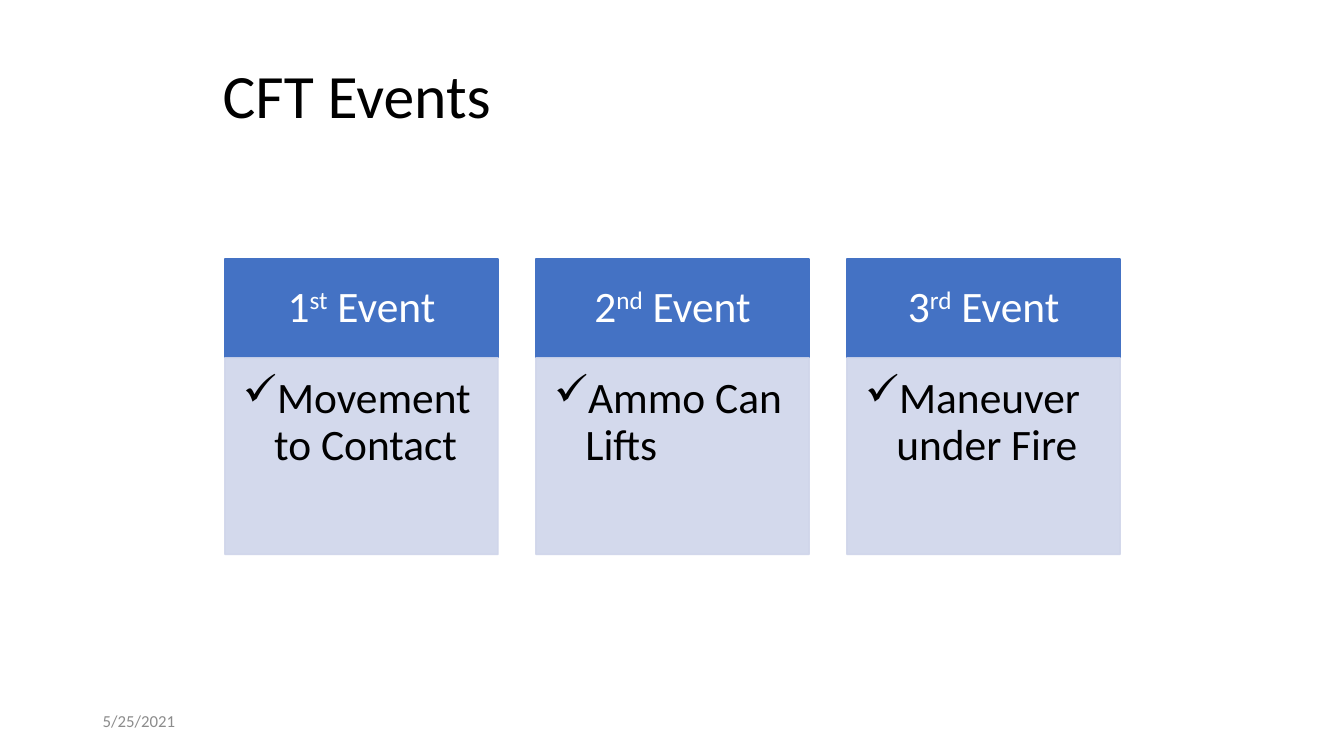
"""Build the CFT Events slide: three event columns under a title."""
from lxml import etree
from pptx import Presentation
from pptx import util as u
from pptx.dml import color
from pptx.enum import shapes, text as t
from pptx.oxml import ns

COLORS = {"header": "4472C4", "body": "CFD5EA", "white": "FFFFFF",
          "black": "000000", "date": "8C8C8C"}
EVENTS = [("1^st^ Event", "Movement to Contact"),
          ("2^nd^ Event", "Ammo Can Lifts"),
          ("3^rd^ Event", "Maneuver under Fire")]
LEFT, TOP, WIDTH, STEP = 2.23, 2.57, 2.71, 3.085
HEADER_HEIGHT, BODY_HEIGHT = 0.98, 1.95


def write(box, words, size=31, tint="black", align=t.PP_ALIGN.LEFT,
          anchor=t.MSO_ANCHOR.TOP, insets=(0.1, 0.05, 0.1, 0.05),
          line_spacing=1.0, bullet=None):
    """Put words in a box; text between carets becomes superscript."""
    frame = box.text_frame
    frame.word_wrap = True
    frame.vertical_anchor = anchor
    (frame.margin_left, frame.margin_top,
     frame.margin_right, frame.margin_bottom) = map(u.Inches, insets)
    para = frame.paragraphs[0]
    para.alignment = align
    para.line_spacing = line_spacing
    for index, part in enumerate(words.split("^")):
        span = para.add_run()
        span.text = part
        span.font.name = "Calibri"
        span.font.size = u.Pt(size)
        span.font.color.rgb = color.RGBColor.from_string(COLORS[tint])
        if index % 2:
            span.font._element.set("baseline", "30000")
    if bullet:
        properties = para._p.get_or_add_pPr()
        properties.set("marL", str(u.Inches(0.31)))
        properties.set("indent", str(-u.Inches(0.31)))
        etree.SubElement(properties, ns.qn("a:buChar")).set("char", bullet)


def add_panel(page, left, top, height, tint, opacity=100):
    """Add a filled rectangle with a matching outline."""
    panel = page.shapes.add_shape(
        shapes.MSO_SHAPE.RECTANGLE, u.Inches(left), u.Inches(top),
        u.Inches(WIDTH), u.Inches(height))
    panel.shadow.inherit = False
    panel.fill.solid()
    panel.line.width = u.Pt(1)
    for paint in (panel.fill, panel.line.fill):
        paint.solid()
        paint.fore_color.rgb = color.RGBColor.from_string(COLORS[tint])
    if opacity < 100:
        for shade in panel._element.spPr.iter(ns.qn("a:srgbClr")):
            etree.SubElement(shade, ns.qn("a:alpha")).set("val", str(opacity * 1000))
    return panel


deck = Presentation()
deck.slide_width, deck.slide_height = u.Inches(13.33), u.Inches(7.5)
page = deck.slides.add_slide(deck.slide_layouts[6])

for column, (event, task) in enumerate(EVENTS):
    left = LEFT + column * STEP
    header = add_panel(page, left, TOP, HEADER_HEIGHT, "header")
    write(header, event, tint="white", align=t.PP_ALIGN.CENTER,
          anchor=t.MSO_ANCHOR.MIDDLE, insets=(0.24, 0.14, 0.24, 0.14),
          line_spacing=0.9)
    body = add_panel(page, left, TOP + HEADER_HEIGHT, BODY_HEIGHT, "body", opacity=90)
    write(body, task, insets=(0.18, 0.18, 0.24, 0.27), line_spacing=0.9, bullet="✓")

title = page.shapes.add_textbox(*map(u.Inches, (2.11, 0.52, 6.42, 0.84)))
write(title, "CFT Events", size=44)
date = page.shapes.add_textbox(*map(u.Inches, (0.92, 6.95, 3, 0.4)))
write(date, "5/25/2021", size=12, tint="date", anchor=t.MSO_ANCHOR.MIDDLE)

deck.save("out.pptx")
